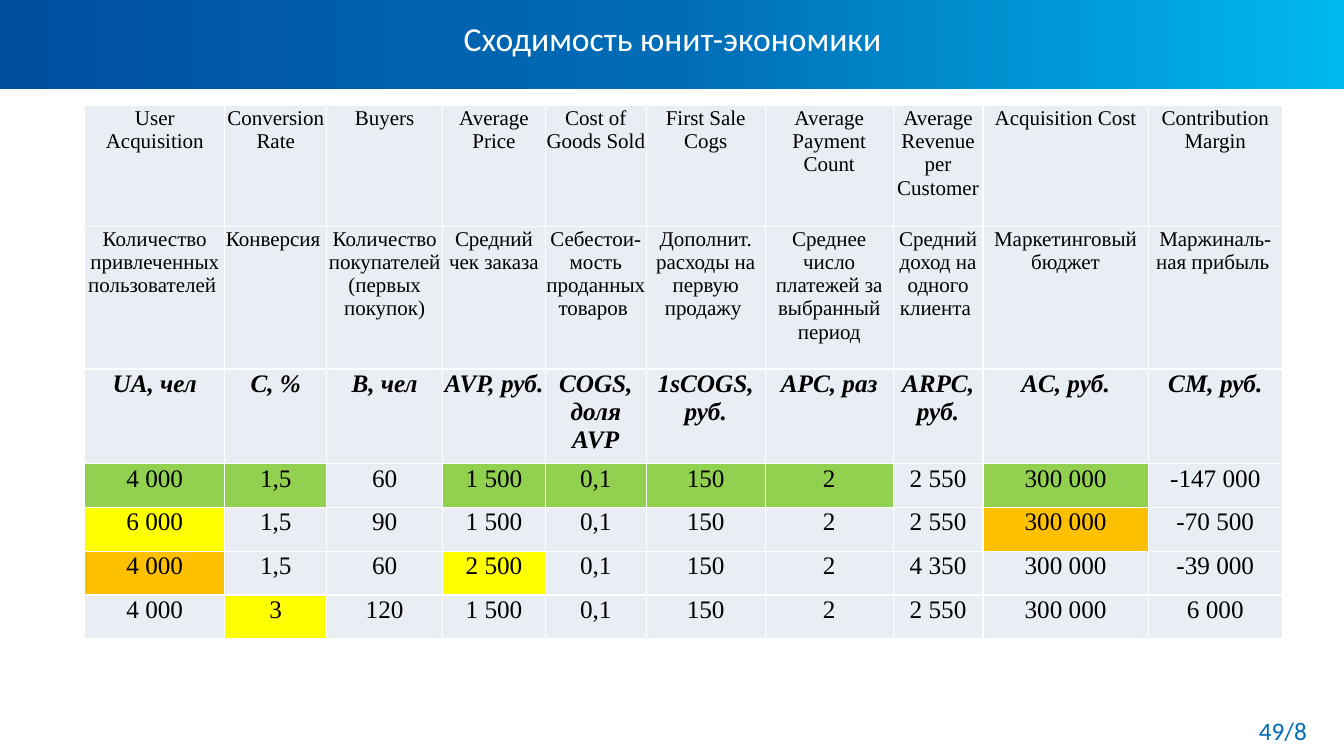
import copy

import lxml.etree
import pptx
import pptx.dml.color
import pptx.enum.shapes
import pptx.enum.text
import pptx.oxml.ns
import pptx.util

# Content
TITLE = "Сходимость юнит-экономики"
PAGE = "49/8"
TERMS = ["User Acquisition", "Conversion Rate", "Buyers", "Average Price",
         "Cost of Goods Sold", "First Sale Cogs", "Average Payment Count",
         "Average Revenue per Customer", "Acquisition Cost", "Contribution Margin"]
MEANINGS = ["Количество привлеченных пользователей ", "Конверсия ",
            "Количество покупателей (первых покупок)", "Средний чек заказа",
            "Себестои-мость проданных товаров ", "Дополнит. расходы на первую продажу ",
            "Среднее число платежей за выбранный период",
            "Средний доход на одного клиента ", "Маркетинговый бюджет",
            "Маржиналь-ная прибыль "]
UNITS = ["UA, чел", "C, %", "B, чел", "AVP, руб.", "COGS, доля AVP",
         "1sCOGS, руб.", "APC, раз", "ARPC, руб.", "AC, руб.", "CM, руб."]
SCENARIOS = [
    ["4 000", "1,5", "60", "1 500", "0,1", "150", "2", "2 550", "300 000", "-147 000"],
    ["6 000", "1,5", "90", "1 500", "0,1", "150", "2", "2 550", "300 000", "-70 500"],
    ["4 000", "1,5", "60", "2 500", "0,1", "150", "2", "4 350", "300 000", "-39 000"],
    ["4 000", "3", "120", "1 500", "0,1", "150", "2", "2 550", "300 000", "6 000"],
]
# One letter per column: g input, y changed, o attention, . plain
MARKS = ["gg.gggg.g.", "y.......o.", "o..y......", ".y........"]

# Theme
THEME = {
    "sans": "Calibri", "serif": "Times New Roman",
    "white": "FFFFFF", "ink": "000000", "accent": "006CB6",
    "band": [(0, "004F9F"), (0.5, "006CB6"), (1, "00B8EE")],
    "cells": {".": "E9EDF4", "g": "92D050", "y": "FFFF00", "o": "FFC000"},
    "title": 24, "page": 18, "label": 15, "value": 18,
}

# Layout, in inches
WIDTH, HEIGHT = 13.33, 7.5
BAND_HEIGHT = 0.88
TABLE_LEFT, TABLE_TOP = 0.84, 1.05
COLUMNS = [1.39, 1.01, 1.15, 1.02, 1, 1.18, 1.27, 0.89, 1.64, 1.33]
ROWS = [1.2, 1.41, 0.94] + [0.435] * len(SCENARIOS)

inch = pptx.util.Inches
ALIGN = pptx.enum.text.PP_ALIGN
ANCHOR = pptx.enum.text.MSO_ANCHOR


def rgb(value):
    return pptx.dml.color.RGBColor.from_string(value)


def write(tf, text, *, size, font, color, align=ALIGN.CENTER, bold=False, italic=False):
    tf.word_wrap = True
    p = tf.paragraphs[0]
    p.alignment = align
    r = p.add_run()
    r.text = text
    r.font.size = pptx.util.Pt(size)
    r.font.name = font
    r.font.color.rgb = rgb(color)
    r.font.bold, r.font.italic = bold, italic


def outline_cell(cell, color):
    tcPr = cell._tc.get_or_add_tcPr()
    for i, side in enumerate(("lnL", "lnR", "lnT", "lnB")):
        ln = lxml.etree.Element(pptx.oxml.ns.qn("a:" + side), w="12700")
        fill = lxml.etree.SubElement(ln, pptx.oxml.ns.qn("a:solidFill"))
        lxml.etree.SubElement(fill, pptx.oxml.ns.qn("a:srgbClr"), val=color)
        tcPr.insert(i, ln)


def add_band(s, title):
    sp = s.shapes.add_shape(pptx.enum.shapes.MSO_SHAPE.RECTANGLE,
                            0, 0, inch(WIDTH), inch(BAND_HEIGHT))
    sp.shadow.inherit = False
    sp.line.fill.background()
    sp.fill.gradient()
    sp.fill.gradient_angle = 0
    first = sp.fill.gradient_stops[0]._gs
    first.addnext(copy.deepcopy(first))
    for stop, (position, color) in zip(sp.fill.gradient_stops, THEME["band"]):
        stop.position = position
        stop.color.rgb = rgb(color)
    title._element.addprevious(sp._element)  # behind the title


def add_metrics(s):
    label = {"size": THEME["label"]}
    value = {"size": THEME["value"]}
    plain = "." * len(COLUMNS)
    lines = [(TERMS, plain, label), (MEANINGS, plain, label),
             (UNITS, plain, {**value, "bold": True, "italic": True})]
    lines += [(row, marks, value) for row, marks in zip(SCENARIOS, MARKS)]

    table = s.shapes.add_table(len(ROWS), len(COLUMNS), inch(TABLE_LEFT), inch(TABLE_TOP),
                               inch(sum(COLUMNS)), inch(sum(ROWS))).table
    table.first_row = table.horz_banding = False
    for column, width in zip(table.columns, COLUMNS):
        column.width = inch(width)
    for row, height, (texts, marks, style) in zip(table.rows, ROWS, lines):
        row.height = inch(height)
        for cell, text, mark in zip(row.cells, texts, marks):
            cell.margin_left = cell.margin_right = cell.margin_top = inch(0.01)
            cell.margin_bottom = 0
            cell.fill.solid()
            cell.fill.fore_color.rgb = rgb(THEME["cells"][mark])
            outline_cell(cell, THEME["white"])
            write(cell.text_frame, text, font=THEME["serif"], color=THEME["ink"], **style)


def main():
    prs = pptx.Presentation()
    prs.slide_width, prs.slide_height = inch(WIDTH), inch(HEIGHT)
    s = prs.slides.add_slide(prs.slide_layouts[5])

    # Header
    title = s.shapes.title
    title.left, title.top, title.width, title.height = map(inch, (0.37, 0.13, 12.6, 0.74))
    title.text_frame.vertical_anchor = ANCHOR.TOP
    write(title.text_frame, TITLE, size=THEME["title"], font=THEME["sans"],
          color=THEME["white"])
    add_band(s, title)

    # Metrics table
    add_metrics(s)

    # Page number
    page = s.shapes.add_textbox(*map(inch, (12.16, 7.05, 0.9, 0.4)))
    write(page.text_frame, PAGE, size=THEME["page"], font=THEME["sans"],
          color=THEME["accent"], align=ALIGN.RIGHT)

    prs.save("out.pptx")


if __name__ == "__main__":
    main()
